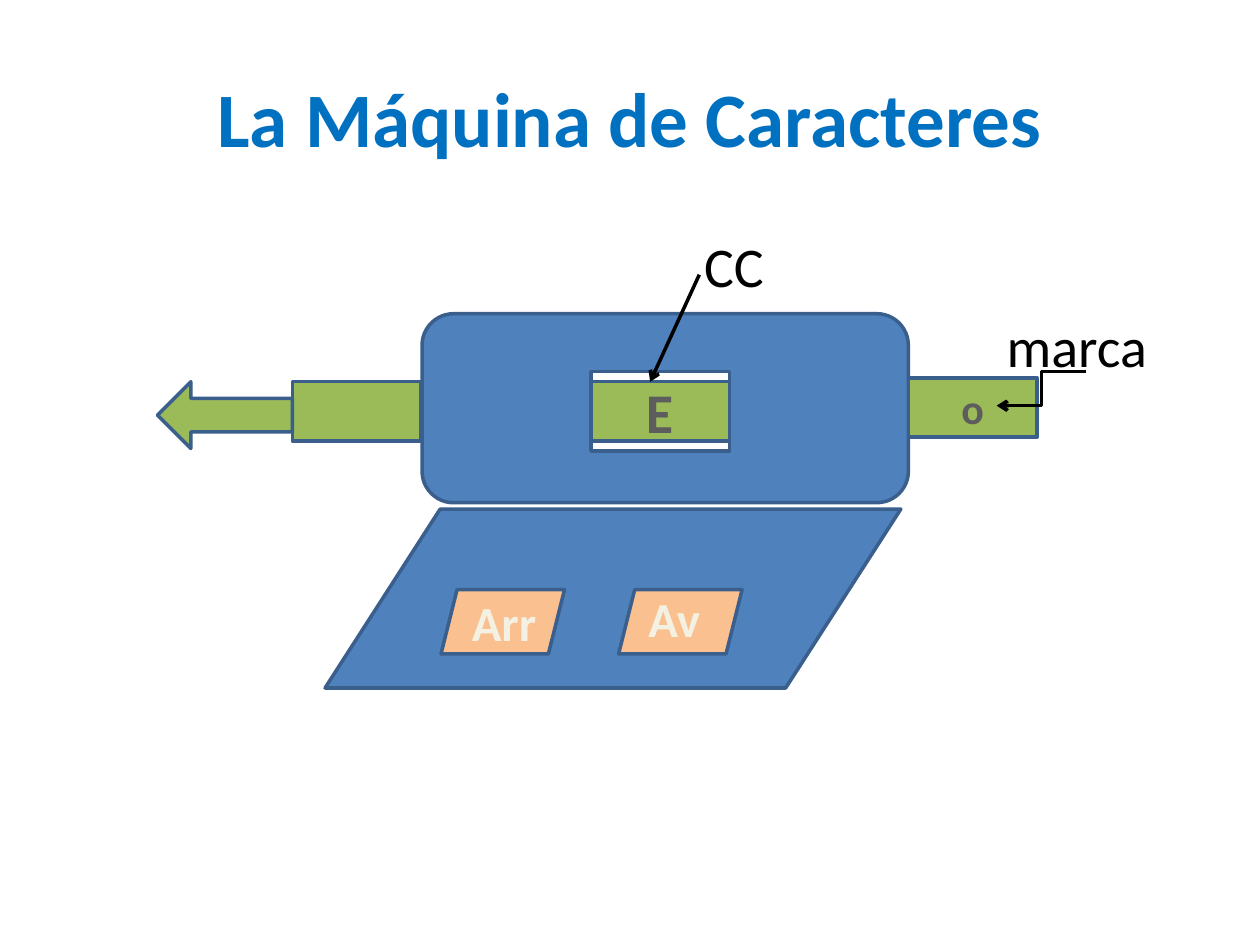
from typing import NamedTuple

from lxml import etree
from pptx import Presentation
from pptx import util as u
from pptx.dml.color import RGBColor
from pptx.enum import shapes, text
from pptx.oxml.ns import qn

COLUMNS, ROWS = 100, 75
FONT = "Calibri"
TITLE_BLUE = RGBColor(0x00, 0x70, 0xC0)
MACHINE_BLUE = RGBColor(0x4F, 0x81, 0xBD)
EDGE_BLUE = RGBColor(0x3A, 0x5F, 0x8C)
TAPE_GREEN = RGBColor(0x9B, 0xBB, 0x59)
KEY_ORANGE = RGBColor(0xFA, 0xC0, 0x90)
KEY_CREAM = RGBColor(0xF4, 0xF1, 0xE3)
MARK_GREY = RGBColor(0x5D, 0x5D, 0x5D)
WHITE = RGBColor(0xFF, 0xFF, 0xFF)
BLACK = RGBColor(0x00, 0x00, 0x00)

Preset = shapes.MSO_SHAPE


class Area(NamedTuple):
    """A place on the slide, in grid columns and rows."""
    column: float
    row: float
    columns: float
    rows: float


class Part(NamedTuple):
    preset: Preset
    area: Area
    fill: RGBColor


class Label(NamedTuple):
    words: str
    area: Area
    size: int
    color: RGBColor
    bold: bool = True
    align: text.PP_ALIGN = text.PP_ALIGN.CENTER


class Pointer(NamedTuple):
    kind: shapes.MSO_CONNECTOR
    start: tuple[float, float]
    end: tuple[float, float]


prs = Presentation()
prs.slide_width, prs.slide_height = u.Inches(10), u.Inches(7.5)


def x(columns: float) -> int:
    return round(prs.slide_width * columns / COLUMNS)


def y(rows: float) -> int:
    return round(prs.slide_height * rows / ROWS)


def place(area: Area) -> tuple[int, int, int, int]:
    return x(area.column), y(area.row), x(area.columns), y(area.rows)


def draw_part(slide, part: Part) -> None:
    shape = slide.shapes.add_shape(part.preset, *place(part.area))
    shape.shadow.inherit = False
    shape.fill.solid()
    shape.fill.fore_color.rgb = part.fill
    shape.line.color.rgb = EDGE_BLUE
    shape.line.width = u.Pt(2)


def draw_label(slide, label: Label) -> None:
    frame = slide.shapes.add_textbox(*place(label.area)).text_frame
    frame.word_wrap = False
    frame.text = label.words
    paragraph = frame.paragraphs[0]
    paragraph.alignment = label.align
    font = paragraph.font
    font.name, font.size, font.bold = FONT, u.Pt(label.size), label.bold
    font.color.rgb = label.color


def draw_pointer(slide, pointer: Pointer) -> None:
    (x1, y1), (x2, y2) = pointer.start, pointer.end
    line = slide.shapes.add_connector(pointer.kind, x(x1), y(y1), x(x2), y(y2))
    line.line.color.rgb = BLACK
    line.line.width = u.Pt(2)
    etree.SubElement(line.line._get_or_add_ln(), qn("a:tailEnd"), type="arrow")
    etree.SubElement(line._element.spPr, qn("a:effectLst"))


slide = prs.slides.add_slide(prs.slide_layouts[5])

# Title
title = slide.shapes.title
title.left, title.top, title.width, title.height = place(Area(5, 3, 90, 12.5))
title.text_frame.text = "La Máquina de Caracteres"
heading = title.text_frame.paragraphs[0]
heading.alignment = text.PP_ALIGN.CENTER
heading.font.name, heading.font.size, heading.font.bold = FONT, u.Pt(44), True
heading.font.color.rgb = TITLE_BLUE

# Machine body, window, tape and keyboard
KEY_COLUMNS = (35, 49.1)
parts = [
    Part(Preset.ROUNDED_RECTANGLE, Area(33.5, 24.9, 38.6, 15), MACHINE_BLUE),
    Part(Preset.RECTANGLE, Area(46.9, 29.5, 11, 6.3), WHITE),
    Part(Preset.RECTANGLE, Area(23.2, 30.3, 10.2, 4.7), TAPE_GREEN),
    Part(Preset.RECTANGLE, Area(72.1, 30, 10.2, 4.7), TAPE_GREEN),
    Part(Preset.RECTANGLE, Area(46.9, 30.3, 11, 4.7), TAPE_GREEN),
    Part(Preset.LEFT_ARROW, Area(12.5, 30.3, 10.7, 5.3), TAPE_GREEN),
    Part(Preset.FLOWCHART_DATA, Area(25.8, 40.4, 45.7, 14.2), MACHINE_BLUE),
    *(Part(Preset.PARALLELOGRAM, Area(column, 46.8, 9.8, 5.1), KEY_ORANGE)
      for column in KEY_COLUMNS),
]
for part in parts:
    draw_part(slide, part)

# Characters on the tape, key names and callouts
LEFT = text.PP_ALIGN.LEFT
labels = [
    Label("E", Area(48.6, 29.5, 7.5, 6.4), 32, MARK_GREY),
    Label("o", Area(75.3, 29.9, 3.8, 5), 24, MARK_GREY),
    Label("Arr", Area(36.4, 46.5, 7.2, 5.7), 28, KEY_CREAM),
    Label("Av", Area(50.4, 46.2, 6.2, 5.7), 28, KEY_CREAM),
    Label("CC", Area(54.9, 17.9, 7, 6.4), 32, BLACK, False, LEFT),
    Label("marca", Area(78.9, 24.2, 13.5, 6.4), 32, BLACK, False, LEFT),
]
for label in labels:
    draw_label(slide, label)

# Arrows from the callouts to the tape
draw_pointer(slide, Pointer(shapes.MSO_CONNECTOR.STRAIGHT, (55.5, 21.8), (51.6, 30.3)))
draw_pointer(slide, Pointer(shapes.MSO_CONNECTOR.ELBOW, (86.2, 29.5), (79.1, 32.2)))

prs.save("out.pptx")
